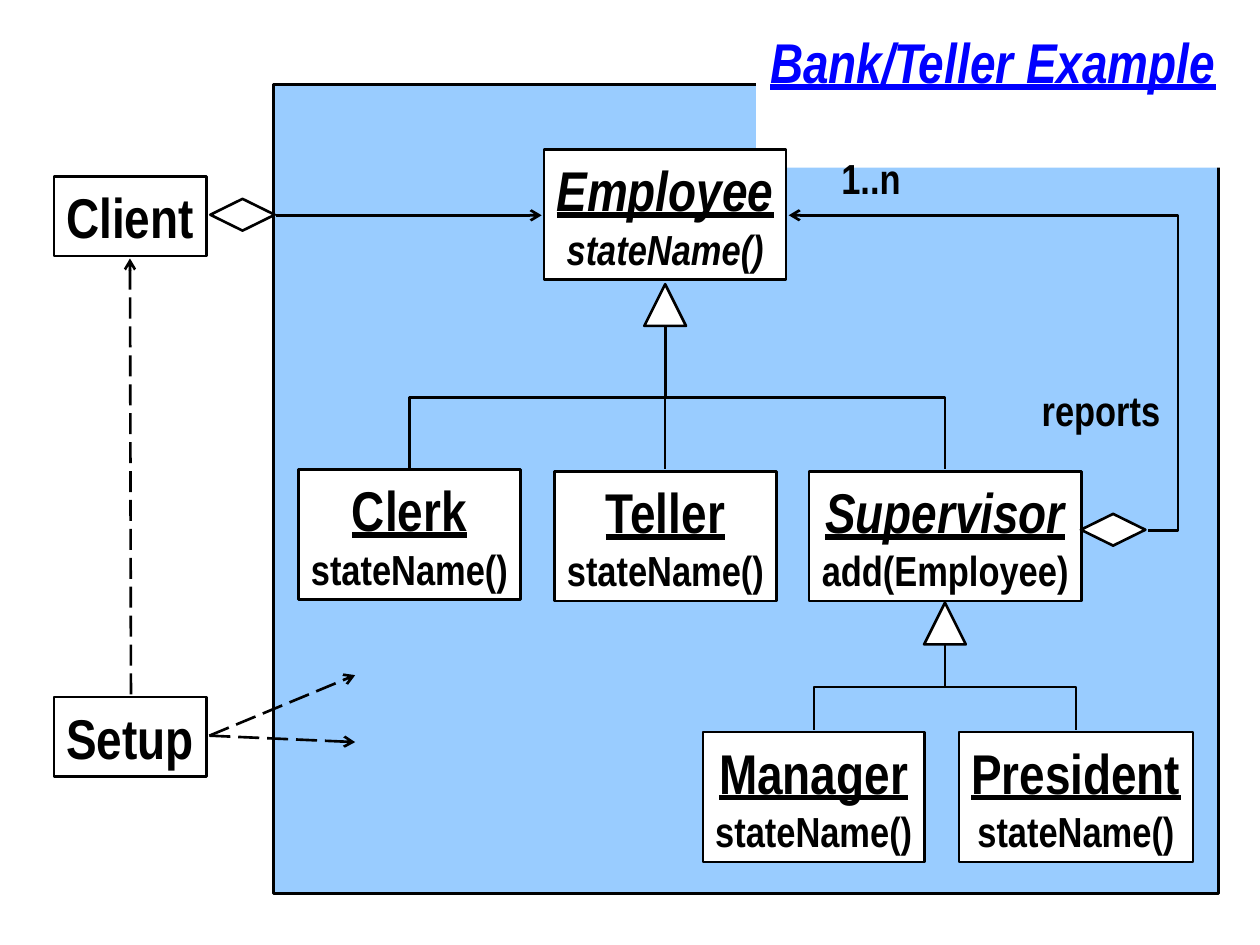
from lxml import etree
from pptx import Presentation
from pptx.dml.color import RGBColor
from pptx.enum.dml import MSO_LINE
from pptx.enum.shapes import MSO_CONNECTOR, MSO_SHAPE
from pptx.enum.text import MSO_ANCHOR, MSO_AUTO_SIZE, PP_ALIGN
from pptx.oxml.ns import qn
from pptx.util import Cm, Pt

RECTANGLE = MSO_SHAPE.RECTANGLE
TRIANGLE = MSO_SHAPE.ISOSCELES_TRIANGLE
DIAMOND = MSO_SHAPE.FLOWCHART_DECISION
STRAIGHT, ELBOW = MSO_CONNECTOR.STRAIGHT, MSO_CONNECTOR.ELBOW
LONG_DASH = MSO_LINE.LONG_DASH
TOP, MIDDLE = MSO_ANCHOR.TOP, MSO_ANCHOR.MIDDLE
LEFT, CENTER = PP_ALIGN.LEFT, PP_ALIGN.CENTER
NO_AUTOFIT = MSO_AUTO_SIZE.NONE

FONT = "Arial Narrow"
BLACK, WHITE, BLUE, LIGHT_BLUE = "000000", "FFFFFF", "0000FF", "99CCFF"
LINE_WIDTH = Pt(1.5)
NAME_SIZE, MEMBER_SIZE = 32, 24
CLASS_HEIGHT = 2.62


def color(hex_string):
    return RGBColor.from_string(hex_string)


def fill_shape(shape, fill):
    shape.fill.solid()
    shape.fill.fore_color.rgb = color(fill)


def add_outlined_shape(slide, kind, left, top, width, height, fill=WHITE):
    shape = slide.shapes.add_shape(kind, Cm(left), Cm(top), Cm(width), Cm(height))
    shape.shadow.inherit = False
    fill_shape(shape, fill)
    shape.line.color.rgb = color(BLACK)
    shape.line.width = LINE_WIDTH
    return shape


def format_paragraph(paragraph, text, size, alignment=CENTER, italic=False,
                     underline=False, font_color=BLACK):
    paragraph.text = text
    paragraph.alignment = alignment
    font = paragraph.font
    font.name = FONT
    font.size = Pt(size)
    font.bold = True
    font.italic = italic
    font.underline = underline
    font.color.rgb = color(font_color)


def format_title(slide, domain):
    title = slide.shapes.title
    title.left, title.top, title.width, title.height = Cm(15.24), Cm(0.43), Cm(9.55), Cm(2.95)
    fill_shape(title, WHITE)
    frame = title.text_frame
    frame.vertical_anchor = TOP
    frame.auto_size = NO_AUTOFIT
    format_paragraph(frame.paragraphs[0], "Bank/Teller Example", NAME_SIZE,
                     italic=True, underline=True, font_color=BLUE)
    title._element.addprevious(domain._element)


def add_participant(slide, name, top):
    box = add_outlined_shape(slide, RECTANGLE, 1.09, top, 3.07, 1.6)
    box.text_frame.word_wrap = False
    box.text_frame.vertical_anchor = MIDDLE
    format_paragraph(box.text_frame.paragraphs[0], name, NAME_SIZE)


def add_class(slide, name, left, top, width, member="stateName()",
              italic_name=False, italic_member=False):
    box = add_outlined_shape(slide, RECTANGLE, left, top, width, CLASS_HEIGHT)
    frame = box.text_frame
    frame.word_wrap = False
    frame.vertical_anchor = MIDDLE
    format_paragraph(frame.paragraphs[0], name, NAME_SIZE, italic=italic_name, underline=True)
    format_paragraph(frame.add_paragraph(), member, MEMBER_SIZE, italic=italic_member)


def add_label(slide, text, left, top, width):
    label = slide.shapes.add_textbox(Cm(left), Cm(top), Cm(width), Cm(1.27))
    label.text_frame.word_wrap = False
    format_paragraph(label.text_frame.paragraphs[0], text, MEMBER_SIZE, LEFT)


def add_line(slide, kind, start, end, arrow=None, dash=None):
    points = [Cm(value) for value in (*start, *end)]
    connector = slide.shapes.add_connector(kind, *points)
    connector.line.color.rgb = color(BLACK)
    connector.line.width = LINE_WIDTH
    if dash:
        connector.line.dash_style = dash
    properties = connector._element.spPr
    if arrow:
        etree.SubElement(properties.find(qn("a:ln")), qn(arrow), type="arrow")
    etree.SubElement(properties, qn("a:effectLst"))
    return connector


def add_reports_line(slide):
    connector = add_line(slide, ELBOW, (15.9, 4.34), (23.14, 10.69), arrow="a:headEnd")
    adjustments = connector._element.spPr.find(qn("a:prstGeom")).find(qn("a:avLst"))
    etree.SubElement(adjustments, qn("a:gd"), name="adj1", fmla="val 108400")


def add_branch(slide, start, end):
    (start_x, start_y), (end_x, end_y) = start, end
    drop, spread = end_y - start_y, abs(end_x - start_x)
    left = (start_x + end_x - drop) / 2
    top = (start_y + end_y - spread) / 2
    right, bottom = left + drop, top + spread
    if end_x < start_x:
        connector = add_line(slide, ELBOW, (left, top), (right, bottom))
        degrees = 90
    else:
        connector = add_line(slide, ELBOW, (right, top), (left, bottom))
        degrees = 270
    connector._element.spPr.find(qn("a:xfrm")).set("rot", str(degrees * 60000))


def add_inheritance(slide, parent_x, triangle_top, child_top, child_centers):
    size = 0.84
    for child_x in child_centers:
        add_branch(slide, (parent_x, triangle_top + size), (child_x, child_top))
    add_outlined_shape(slide, TRIANGLE, parent_x - size / 2, triangle_top, size, size)


def main():
    presentation = Presentation()
    presentation.slide_width, presentation.slide_height = Cm(25.4), Cm(19.05)
    slide = presentation.slides.add_slide(presentation.slide_layouts[5])

    domain = add_outlined_shape(slide, RECTANGLE, 5.51, 1.7, 19.05, 16.31, LIGHT_BLUE)
    format_title(slide, domain)

    add_participant(slide, "Client", 3.56)
    add_participant(slide, "Setup", 14.05)

    add_class(slide, "Employee", 10.97, 3.02, 4.88, italic_name=True, italic_member=True)
    add_class(slide, "Clerk", 6.02, 9.47, 4.47)
    add_class(slide, "Teller", 11.18, 9.5, 4.47)
    add_class(slide, "Supervisor", 16.31, 9.5, 5.49, "add(Employee)", italic_name=True)
    add_class(slide, "Manager", 14.17, 14.76, 4.47)
    add_class(slide, "President", 19.33, 14.76, 4.72)

    add_label(slide, "1..n", 16.71, 2.95, 1.7)
    add_label(slide, "reports", 20.75, 7.62, 2.9)

    add_line(slide, STRAIGHT, (5.56, 4.34), (10.92, 4.34), "a:tailEnd")
    for start, end in (
        ((4.22, 14.83), (7.16, 13.61)),
        ((4.22, 14.83), (7.16, 14.96)),
        ((2.64, 14), (2.62, 5.21)),
    ):
        add_line(slide, STRAIGHT, start, end, "a:tailEnd", LONG_DASH)
    add_reports_line(slide)

    add_inheritance(slide, 13.41, 5.73, 9.45, (8.26, 13.41, 19.05))
    add_inheritance(slide, 19.05, 12.15, 14.71, (16.41, 21.69))

    for left, top in ((4.24, 4.01), (21.79, 10.36)):
        add_outlined_shape(slide, DIAMOND, left, top, 1.3, 0.64)

    presentation.save("out.pptx")


if __name__ == "__main__":
    main()
